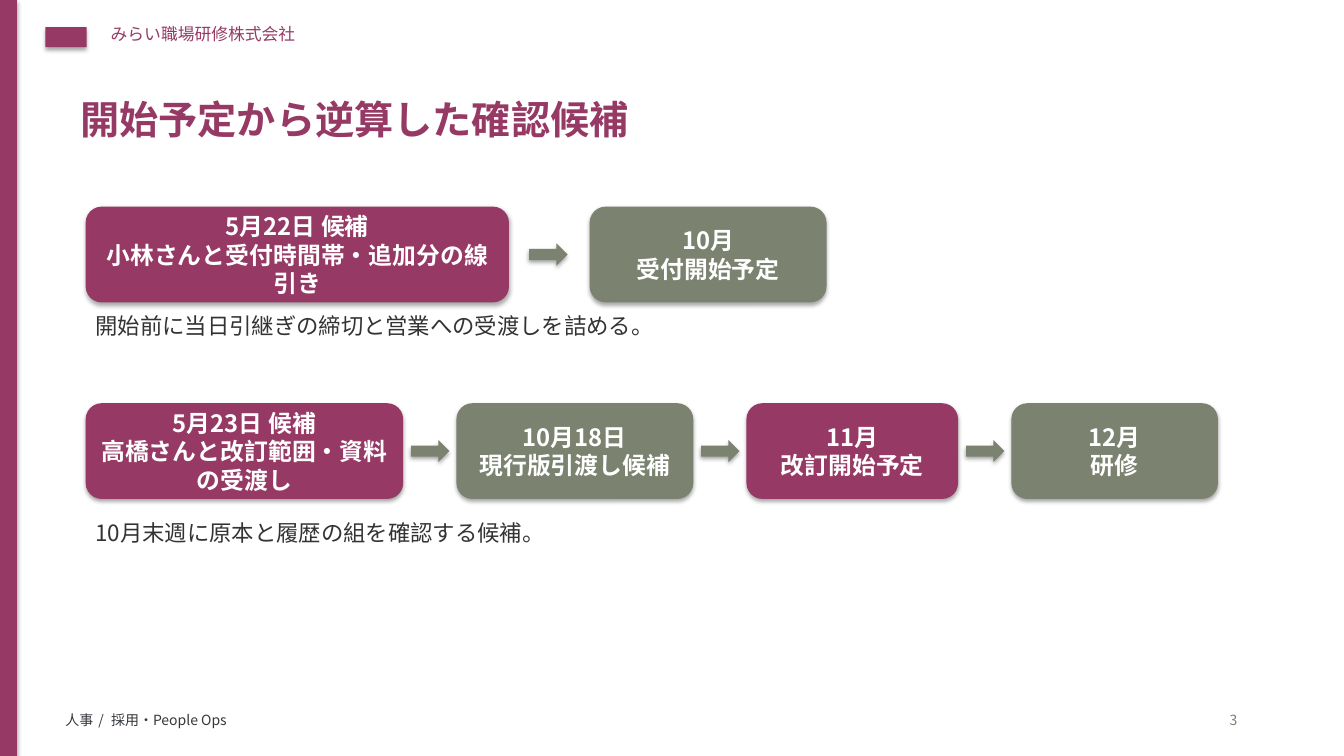
from lxml import etree
from pptx import Presentation
from pptx.dml.color import RGBColor
from pptx.enum.shapes import MSO_SHAPE
from pptx.enum.text import MSO_ANCHOR, PP_ALIGN
from pptx.oxml.ns import qn
from pptx.util import Pt

RECT = MSO_SHAPE.RECTANGLE
ROUND = MSO_SHAPE.ROUNDED_RECTANGLE
ARROW = MSO_SHAPE.RIGHT_ARROW
MIDDLE = MSO_ANCHOR.MIDDLE
CENTER = PP_ALIGN.CENTER

FONT = "Noto Sans CJK JP"
PLUM = "963A65"
SAGE = "7B8270"
WHITE = "FFFFFF"
INK = "333333"
SLATE = "34383C"

LEFT = 61.2
CARD_H = 68.4
ARROW_W = 27.4
ARROW_H = 15.8


def color(code):
    """Turn a hex string into a colour."""
    return RGBColor.from_string(code)


def shade(shape):
    """Give a shape its soft drop shadow."""
    shape.shadow.inherit = False
    effects = shape._element.spPr.find(qn("a:effectLst"))
    outer = etree.SubElement(
        effects, qn("a:outerShdw"), blurRad=str(Pt(3.1)), dist=str(Pt(1.8)),
        dir="5400000", algn="ctr", rotWithShape="0")
    black = etree.SubElement(outer, qn("a:srgbClr"), val="000000")
    etree.SubElement(black, qn("a:alpha"), val="35000")


def add_run(para, text, size, code, bold=False, space=0):
    """Add one styled run to a paragraph."""
    run = para.add_run()
    run.text = text
    run.font.size = Pt(size)
    run.font.bold = bold
    run.font.color.rgb = color(code)
    run.font.name = FONT
    props = run.font._element
    etree.SubElement(props, qn("a:ea"), typeface=FONT)
    if space:
        props.set("spc", str(round(space * 100)))


def add_text(slide, x, y, w, h):
    """Add a wrapping text box and return its first paragraph."""
    frame = slide.shapes.add_textbox(Pt(x), Pt(y), Pt(w), Pt(h)).text_frame
    frame.word_wrap = True
    return frame.paragraphs[0]


def add_block(slide, kind, x, y, w, h, code):
    """Add a filled preset shape with a shadow and no outline."""
    block = slide.shapes.add_shape(kind, Pt(x), Pt(y), Pt(w), Pt(h))
    block.fill.solid()
    block.fill.fore_color.rgb = color(code)
    block.line.fill.background()
    shade(block)
    return block


def add_card(slide, x, y, w, code, lines):
    """Add a rounded card with centred bold lines."""
    frame = add_block(slide, ROUND, x, y, w, CARD_H, code).text_frame
    frame.word_wrap = True
    frame.vertical_anchor = MIDDLE
    for index, line in enumerate(lines):
        para = frame.add_paragraph() if index else frame.paragraphs[0]
        para.alignment = CENTER
        add_run(para, line, 17, WHITE, bold=True)


def add_flow(slide, y, gap, lead, cards):
    """Add a row of cards joined by arrows."""
    x = LEFT
    for index, (width, *lines) in enumerate(cards):
        if index:
            add_block(slide, ARROW, x - gap + lead, y + (CARD_H - ARROW_H) / 2,
                      ARROW_W, ARROW_H, SAGE)
        add_card(slide, x, y, width, SAGE if index % 2 else PLUM, lines)
        x += width + gap


def add_frame(slide):
    """Add the side bar, header and footer."""
    add_block(slide, RECT, 0, 0, 12.2, 540, PLUM)
    add_block(slide, RECT, 32.4, 19.4, 29.5, 14.4, PLUM)
    add_run(add_text(slide, 72, 13.7, 576, 28.8),
            "みらい職場研修株式会社", 12, PLUM)
    footer = add_text(slide, 39.6, 504.7, 720, 21.6)
    add_run(footer, "人事", 10, SLATE)
    add_run(footer, " / ", 10, SLATE, space=1.5)
    add_run(footer, "採用・People Ops", 10, SLATE)
    add_run(add_text(slide, 871.2, 504.7, 28.8, 18), "3", 10, SAGE)


def main():
    """Build the slide and save it."""
    deck = Presentation()
    deck.slide_width = Pt(960)
    deck.slide_height = Pt(540)
    slide = deck.slides.add_slide(deck.slide_layouts[6])
    add_frame(slide)
    add_run(add_text(slide, 50.4, 64.8, 849.6, 61.2),
            "開始予定から逆算した確認候補", 28, PLUM, bold=True)
    add_flow(slide, 147.6, 57.6, 14.4, [
        (302.4, "5月22日 候補", "小林さんと受付時間帯・追加分の線引き"),
        (169.2, "10月", "受付開始予定"),
    ])
    add_run(add_text(slide, LEFT, 219.6, 835.2, 36),
            "開始前に当日引継ぎの締切と営業への受渡しを詰める。", 16, INK)
    add_flow(slide, 288, 38, 5.6, [
        (226.8, "5月23日 候補", "高橋さんと改訂範囲・資料の受渡し"),
        (169.2, "10月18日", "現行版引渡し候補"),
        (151.2, "11月", "改訂開始予定"),
        (147.6, "12月", "研修"),
    ])
    add_run(add_text(slide, LEFT, 367.2, 835.2, 39.6),
            "10月末週に原本と履歴の組を確認する候補。", 16, INK)
    deck.save("out.pptx")


if __name__ == "__main__":
    main()
